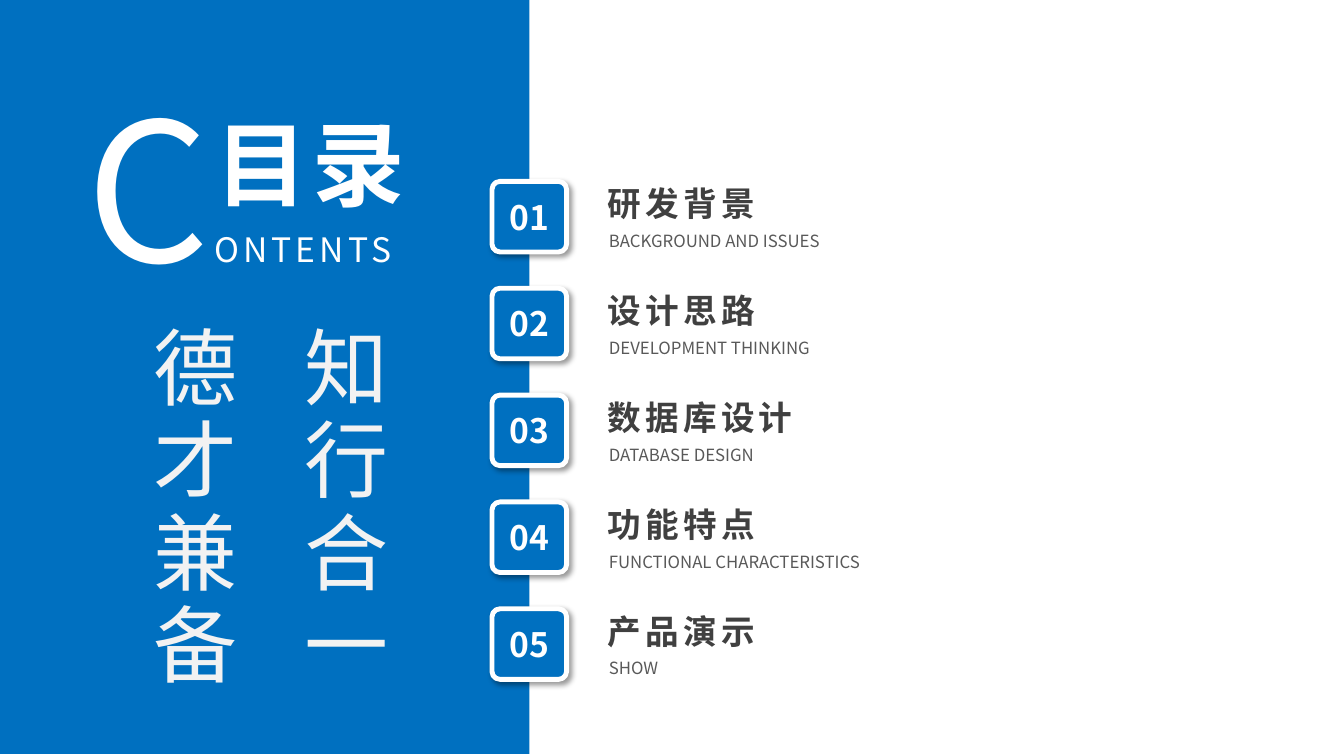
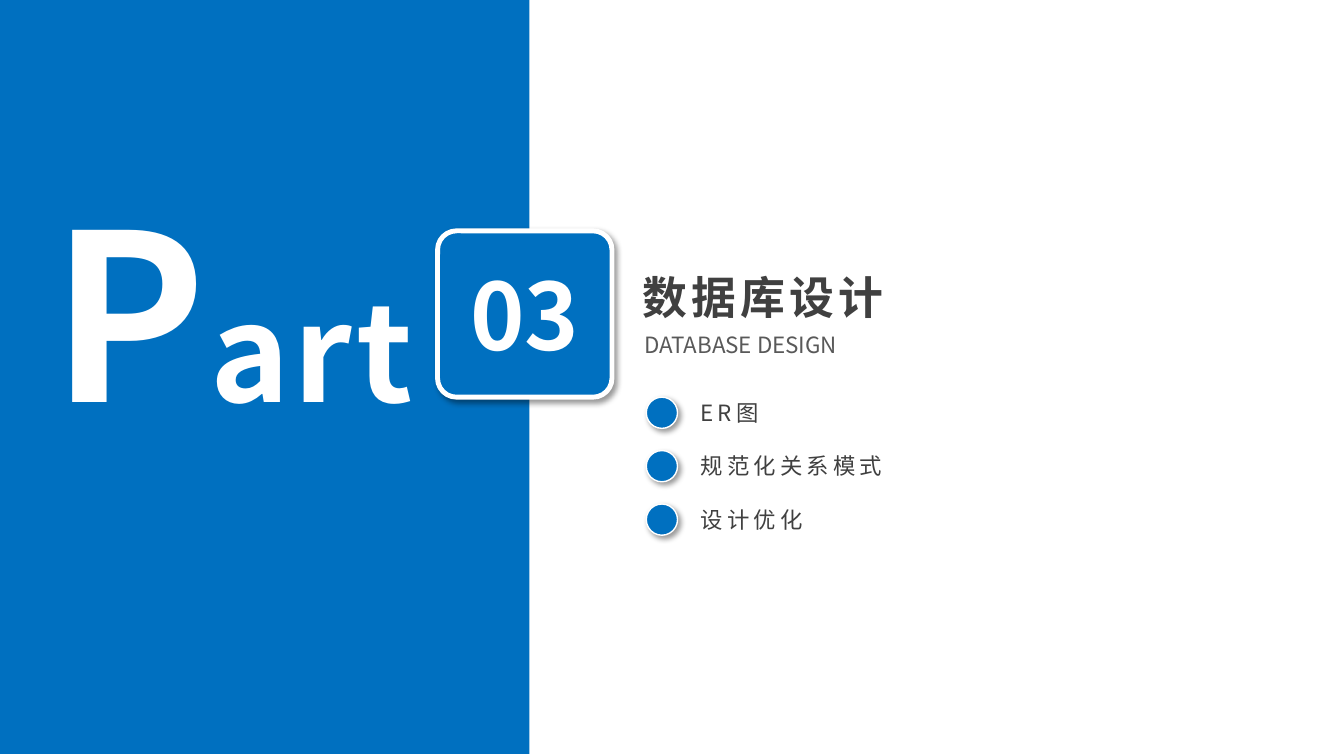
from lxml.etree import SubElement
from pptx import Presentation
from pptx.dml.color import RGBColor
from pptx.enum.shapes import MSO_SHAPE as SHAPE
from pptx.enum.text import MSO_ANCHOR, MSO_AUTO_SIZE, PP_ALIGN as ALIGN
from pptx.oxml.ns import qn
from pptx.util import Emu, Pt

PX = 9144  # 100 px to the inch
FONT = "Noto Sans CJK SC"
COLORS = {
    "blue": "0070C0",
    "white": "FFFFFF",
    "pale": "F2F2F2",
    "title": "404040",
    "subtitle": "595959",
    "shadow": "000000",
}

CHAPTERS = [
    ("研发背景", "BACKGROUND AND ISSUES"),
    ("设计思路", "DEVELOPMENT THINKING"),
    ("数据库设计", "DATABASE DESIGN"),
    ("功能特点", "FUNCTIONAL CHARACTERISTICS"),
    ("产品演示", "SHOW"),
]
MOTTO = ["知行合一", "德才兼备"]
PART = 3
TOPICS = ["ER图", "规范化关系模式", "设计优化"]
CHAPTER_PITCH, TOPIC_PITCH = 106, 53


def px(*lengths):
    return [Emu(n * PX) for n in lengths]


def rgb(name):
    return RGBColor.from_string(COLORS[name])


def style(p, size, color, bold=False, spacing=0, align=ALIGN.LEFT):
    """Set the paragraph font, including its East Asian face and letter spacing."""
    p.alignment = align
    f = p.font
    f.name, f.size, f.bold = FONT, Pt(size), bold
    f.color.rgb = rgb(color)
    props = p._p.pPr.find(qn("a:defRPr"))
    props.set("spc", str(spacing * 100))
    SubElement(props, qn("a:ea"), typeface=FONT)


def add_text(s, box, paragraphs, size, color, wrap=True, **font):
    """Each paragraph is a string, or a list of (text, size) runs."""
    tf = s.shapes.add_textbox(*px(*box)).text_frame
    tf.word_wrap = wrap
    tf.auto_size = MSO_AUTO_SIZE.SHAPE_TO_FIT_TEXT
    for i, content in enumerate(paragraphs):
        p = tf.add_paragraph() if i else tf.paragraphs[0]
        style(p, size, color, **font)
        if isinstance(content, str):
            p.add_run().text = content
            continue
        for text, run_size in content:
            r = p.add_run()
            r.text, r.font.size = text, Pt(run_size)
    return tf


def add_blue(s, kind, box, outline=0):
    """Blue shape; with an outline it also gets a white edge and a soft shadow."""
    sp = s.shapes.add_shape(kind, *px(*box))
    sp.shadow.inherit = False
    sp.fill.solid()
    sp.fill.fore_color.rgb = rgb("blue")
    if not outline:
        sp.line.fill.background()
        return sp
    sp.line.color.rgb = rgb("white")
    sp.line.width = Pt(outline)
    effects = sp._element.spPr.find(qn("a:effectLst"))
    shadow = SubElement(effects, qn("a:outerShdw"), blurRad=str(Pt(4)), dist=str(Pt(3)),
                        dir=str(45 * 60000), algn="tl", rotWithShape="0")
    color = SubElement(shadow, qn("a:srgbClr"), val=COLORS["shadow"])
    SubElement(color, qn("a:alpha"), val="40000")
    return sp


def add_badge(s, box, number, size):
    sp = add_blue(s, SHAPE.ROUNDED_RECTANGLE, box, 3.5)
    sp.adjustments[0] = 0.114
    tf = sp.text_frame
    tf.margin_left = tf.margin_right = tf.margin_top = tf.margin_bottom = 0
    tf.vertical_anchor = MSO_ANCHOR.MIDDLE
    p = tf.paragraphs[0]
    style(p, size, "white", bold=True, align=ALIGN.CENTER)
    p.add_run().text = f"{number:02}"


def add_heading(s, chapter, title_box, title_size, subtitle_box, subtitle_size):
    title, subtitle = chapter
    add_text(s, title_box, [title], title_size, "title", bold=True, spacing=3)
    add_text(s, subtitle_box, [subtitle], subtitle_size, "subtitle")


def new_slide(prs):
    s = prs.slides.add_slide(prs.slide_layouts[6])
    add_blue(s, SHAPE.RECTANGLE, (0, -2, 525, 750))
    return s


def contents_slide(prs):
    s = new_slide(prs)
    add_text(s, (76, 64, 368, 242), [[("C", 138), ("ONTENTS", 24)]], 138, "white",
             spacing=3, align=ALIGN.JUSTIFY)
    add_text(s, (204, 101, 244, 121), ["目录"], 66, "white",
             bold=True, spacing=3, align=ALIGN.JUSTIFY)
    motto = add_text(s, (123, 313, 323, 377), MOTTO, 60, "pale", wrap=False,
                     spacing=6, align=ALIGN.JUSTIFY)
    motto._txBody.bodyPr.set("vert", "eaVert")
    for p in motto.paragraphs:
        p.line_spacing = 1.5
    for i, chapter in enumerate(CHAPTERS):
        y = 180 + i * CHAPTER_PITCH
        add_badge(s, (488, y, 74, 70), i + 1, 24)
        add_heading(s, chapter, (593, y - 3, 305, 50), 24, (594, y + 44, 358, 30), 12)


def part_slide(prs):
    s = new_slide(prs)
    add_text(s, (-83, 164, 627, 289), [[("P", 166), ("art", 96)]], 166, "white",
             bold=True, spacing=3, align=ALIGN.CENTER)
    add_badge(s, (434, 229, 173, 165), PART, 66)
    add_heading(s, CHAPTERS[PART - 1], (627, 263, 379, 64), 32, (629, 324, 458, 37), 16)
    for i, topic in enumerate(TOPICS):
        y = 391 + i * TOPIC_PITCH
        add_blue(s, SHAPE.OVAL, (641, y + 3, 31, 31), 1)
        add_text(s, (685, y, 217, 37), [topic], 16, "title", spacing=3)


def main():
    prs = Presentation()
    prs.slide_width, prs.slide_height = px(1333, 750)
    contents_slide(prs)
    part_slide(prs)
    prs.save("out.pptx")


if __name__ == "__main__":
    main()
